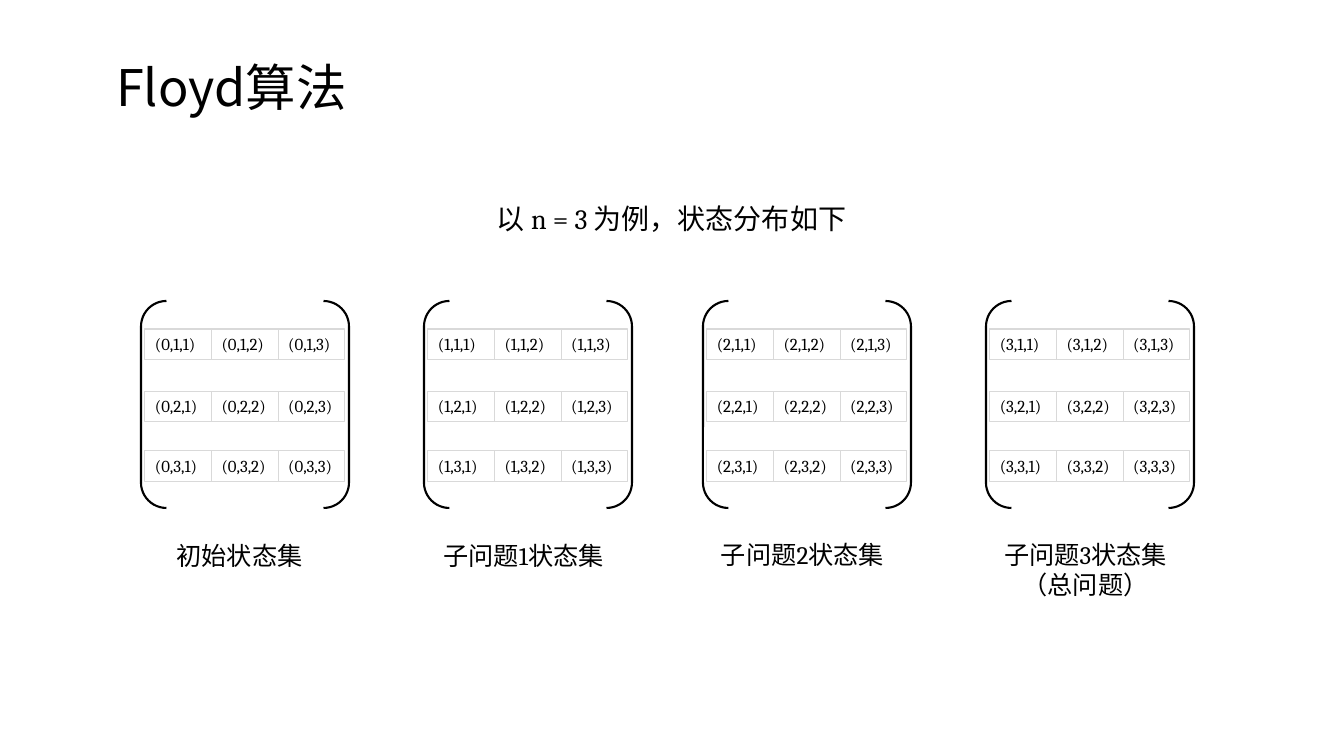
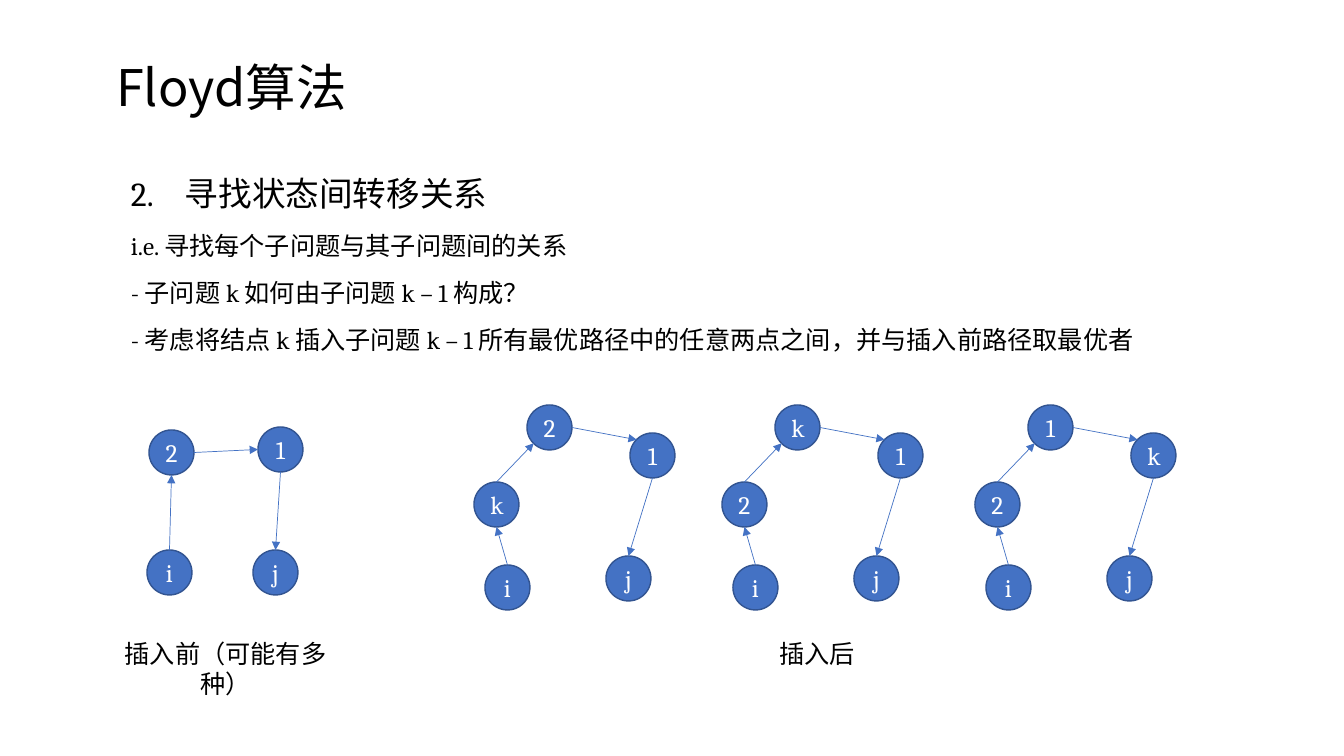
from dataclasses import dataclass
from enum import Enum

from pptx import Presentation
from pptx.dml.color import RGBColor
from pptx.enum.shapes import MSO_CONNECTOR as Conn, MSO_SHAPE as Shape
from pptx.enum.text import MSO_ANCHOR as Anchor, MSO_AUTO_SIZE as Fit, PP_ALIGN as Align
from pptx.oxml.ns import qn
from pptx.oxml.xmlchemy import OxmlElement
from pptx.slide import Slide
from pptx.text.text import TextFrame
from pptx.util import Emu, Pt

# Scale: pixels to EMU
SLIDE_W, SLIDE_H = 1344, 756
EMU_PER_PX = 12192000 / SLIDE_W

# Shared style
BLACK = RGBColor(0x00, 0x00, 0x00)
WHITE = RGBColor(0xFF, 0xFF, 0xFF)
GREY = RGBColor(0xD9, 0xD9, 0xD9)
BLUE = RGBColor(0x44, 0x72, 0xC4)
DARK_BLUE = RGBColor(0x32, 0x54, 0x91)
SERIF = "Cambria"
SANS = "Noto Sans CJK SC"
TITLE = "Floyd算法"

# State grids
BRACKET_TOP, BRACKET_W, BRACKET_H = 301, 208, 207
BRACKET_ROUNDING = 0.123
GRID_INSET, GRID_W, CELL_H = 4, 200, 31
CELL_W = GRID_W / 3
ROW_TOPS = (329, 391, 451)

# Path graphs
NODE_D = 45


class Site(Enum):
    """Points on a node's rim, as fractions of its box."""
    TOP = (0.5, 0)
    LEFT = (0, 0.5)
    BOTTOM = (0.5, 1)
    RIGHT = (1, 0.5)
    TOP_LEFT = (0.15, 0.15)
    BOTTOM_LEFT = (0.15, 0.85)


@dataclass(frozen=True)
class Box:
    left: float
    top: float
    width: float
    height: float

    def emu(self) -> tuple[Emu, ...]:
        return tuple(px(v) for v in (self.left, self.top, self.width, self.height))


@dataclass(frozen=True)
class StateSet:
    left: int
    caption: tuple[str, ...]
    caption_box: Box


@dataclass(frozen=True)
class Edge:
    start: int
    start_site: Site
    end: int
    end_site: Site


@dataclass(frozen=True)
class Graph:
    left: int
    labels: str
    places: tuple[tuple[int, int], ...]
    edges: tuple[Edge, ...]


STATE_SETS = (
    StateSet(141, ("初始状态集",), Box(162, 535, 155, 40)),
    StateSet(424, ("子问题1状态集",), Box(424, 535, 199, 40)),
    StateSet(703, ("子问题2状态集",), Box(695, 534, 215, 40)),
    StateSet(986, ("子问题3状态集", "（总问题）"), Box(986, 534, 199, 72)),
)

# Nodes are listed along the path from i to j
PLACES_BEFORE = ((0, 550), (2, 430), (111, 427), (106, 550))
EDGES_BEFORE = (
    Edge(0, Site.TOP, 1, Site.BOTTOM),
    Edge(1, Site.RIGHT, 2, Site.LEFT),
    Edge(2, Site.BOTTOM, 3, Site.TOP),
)
PLACES_AFTER = ((11, 565), (0, 482), (53, 405), (156, 433), (132, 556))
EDGES_AFTER = (
    Edge(0, Site.TOP, 1, Site.BOTTOM),
    Edge(1, Site.TOP, 2, Site.BOTTOM_LEFT),
    Edge(2, Site.RIGHT, 3, Site.TOP_LEFT),
    Edge(3, Site.BOTTOM, 4, Site.TOP),
)
GRAPHS = (
    Graph(147, "i21j", PLACES_BEFORE, EDGES_BEFORE),
    Graph(474, "ik21j", PLACES_AFTER, EDGES_AFTER),
    Graph(722, "i2k1j", PLACES_AFTER, EDGES_AFTER),
    Graph(975, "i21kj", PLACES_AFTER, EDGES_AFTER),
)


def px(value: float) -> Emu:
    return Emu(round(value * EMU_PER_PX))


def write(tf: TextFrame, text: str, *, size: float = 18, color: RGBColor = BLACK,
          font: str = SERIF, align: Align = Align.LEFT, spacing: float | None = None,
          gap: float = 0, hanging: int = 0) -> None:
    """Add one paragraph, filling the first one if it is still empty."""
    p = tf.paragraphs[0]
    if p.runs:
        p = tf.add_paragraph()
    p.alignment = align
    p.space_before = p.space_after = Pt(gap)
    if spacing:
        p.line_spacing = spacing
    if hanging:
        p_pr = p._p.get_or_add_pPr()
        p_pr.set("marL", str(px(hanging)))
        p_pr.set("indent", str(-px(hanging)))
    r = p.add_run()
    r.text = text
    r.font.size = Pt(size)
    r.font.color.rgb = color
    r.font.name = font
    east_asian = OxmlElement("a:ea")
    east_asian.set("typeface", SANS)
    r._r.rPr.find(qn("a:latin")).addnext(east_asian)


def add_text(s: Slide, box: Box, *lines: str, border: RGBColor | None = None,
             **style) -> TextFrame:
    sp = s.shapes.add_textbox(*box.emu())
    if border is not None:
        sp.line.color.rgb = border
        sp.line.width = Pt(0.75)
    tf = sp.text_frame
    tf.word_wrap = True
    tf.auto_size = Fit.SHAPE_TO_FIT_TEXT
    for line in lines:
        write(tf, line, **style)
    return tf


def add_titled_slide(prs: Presentation) -> Slide:
    s = prs.slides.add_slide(prs.slide_layouts[5])
    sp = s.shapes.title
    sp.left, sp.top, sp.width, sp.height = Box(106, 51, 371, 72).emu()
    tf = sp.text_frame
    tf.word_wrap = True
    tf.auto_size = Fit.SHAPE_TO_FIT_TEXT
    tf.vertical_anchor = Anchor.TOP
    write(tf, TITLE, size=36, font=SANS)
    return s


def add_state_set(s: Slide, index: int, states: StateSet) -> None:
    bracket = Box(states.left, BRACKET_TOP, BRACKET_W, BRACKET_H)
    sp = s.shapes.add_shape(Shape.DOUBLE_BRACKET, *bracket.emu())
    sp.adjustments[0] = BRACKET_ROUNDING
    sp.shadow.inherit = False
    sp.fill.background()
    sp.line.color.rgb = BLACK
    sp.line.width = Pt(1.5)
    for row, top in enumerate(ROW_TOPS, 1):
        for col in range(1, 4):
            left = states.left + GRID_INSET + (col - 1) * CELL_W
            add_text(s, Box(left, top, CELL_W, CELL_H), f"({index},{row},{col})",
                     size=12, border=GREY)
    add_text(s, states.caption_box, *states.caption, align=Align.CENTER)


def add_node(s: Slide, box: Box, label: str) -> None:
    sp = s.shapes.add_shape(Shape.OVAL, *box.emu())
    sp.shadow.inherit = False
    sp.fill.solid()
    sp.fill.fore_color.rgb = BLUE
    sp.line.color.rgb = DARK_BLUE
    sp.line.width = Pt(1)
    tf = sp.text_frame
    tf.vertical_anchor = Anchor.MIDDLE
    write(tf, label, color=WHITE, align=Align.CENTER)


def site_point(box: Box, site: Site) -> tuple[Emu, Emu]:
    across, down = site.value
    return px(box.left + across * box.width), px(box.top + down * box.height)


def add_arrow(s: Slide, start: tuple[Emu, Emu], end: tuple[Emu, Emu]) -> None:
    c = s.shapes.add_connector(Conn.STRAIGHT, *start, *end)
    c.line.color.rgb = BLUE
    c.line.width = Pt(0.5)
    sp_pr = c._element.spPr
    head = OxmlElement("a:tailEnd")
    head.set("type", "triangle")
    sp_pr.find(qn("a:ln")).append(head)
    sp_pr.append(OxmlElement("a:effectLst"))


def add_graph(s: Slide, graph: Graph) -> None:
    boxes = [Box(graph.left + x, y, NODE_D, NODE_D) for x, y in graph.places]
    for box, label in zip(boxes, graph.labels):
        add_node(s, box, label)
    for edge in graph.edges:
        add_arrow(s, site_point(boxes[edge.start], edge.start_site),
                  site_point(boxes[edge.end], edge.end_site))


def build_states_slide(prs: Presentation) -> None:
    s = add_titled_slide(prs)
    add_text(s, Box(412, 180, 519, 55), "以 n = 3 为例，状态分布如下",
             size=20, align=Align.CENTER, spacing=1.5)
    for index, states in enumerate(STATE_SETS):
        add_state_set(s, index, states)


def build_transition_slide(prs: Presentation) -> None:
    s = add_titled_slide(prs)
    # Explanation
    tf = add_text(s, Box(121, 168, 1131, 194), "2.\t寻找状态间转移关系",
                  size=24, gap=6, hanging=54)
    for line in ("i.e. 寻找每个子问题与其子问题间的关系",
                 "- 子问题 k 如何由子问题 k – 1 构成？",
                 "- 考虑将结点 k 插入子问题 k – 1 所有最优路径中的任意两点之间，并与插入前路径取最优者"):
        write(tf, line, gap=6)
    # Paths before and after inserting k
    for graph in GRAPHS:
        add_graph(s, graph)
    add_text(s, Box(91, 633, 269, 40), "插入前（可能有多种）", align=Align.CENTER)
    add_text(s, Box(615, 633, 404, 40), "插入后", align=Align.CENTER)


def main() -> None:
    prs = Presentation()
    prs.slide_width, prs.slide_height = px(SLIDE_W), px(SLIDE_H)
    build_states_slide(prs)
    build_transition_slide(prs)
    prs.save("out.pptx")


main()
